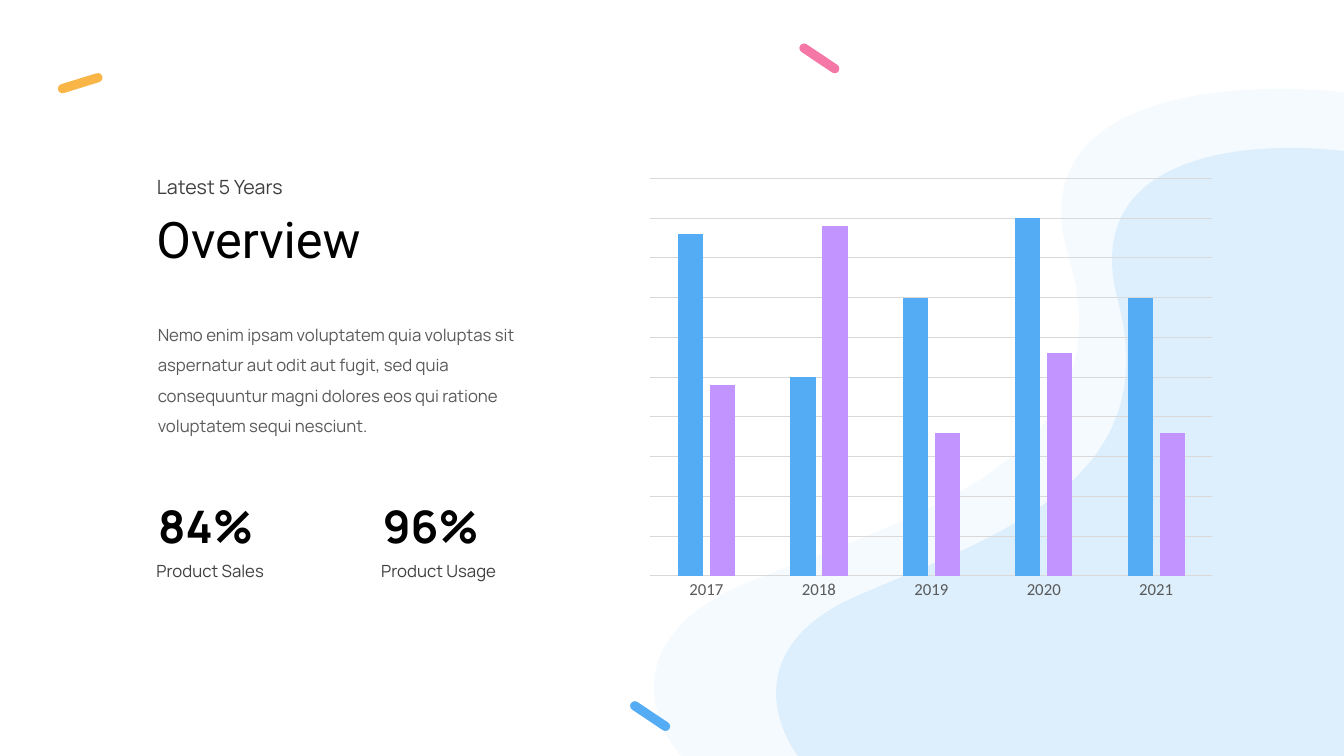
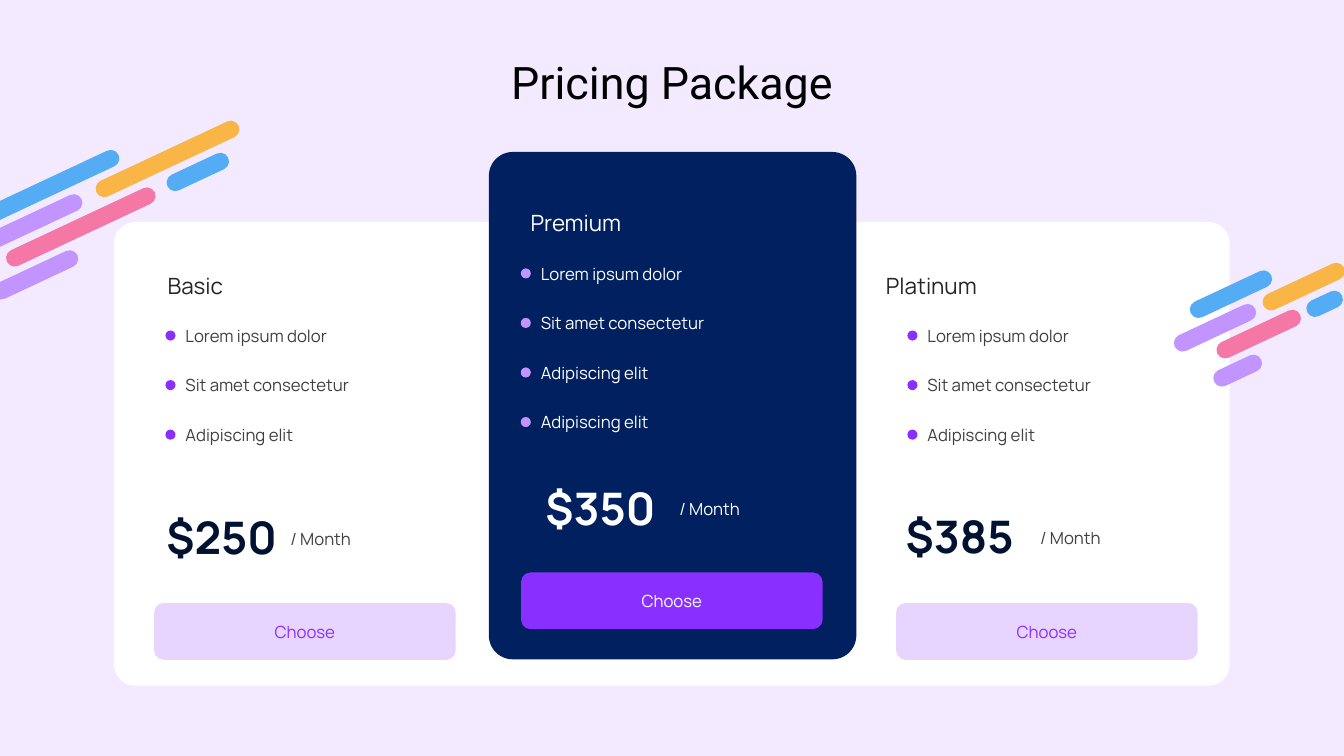
from lxml import etree
from pptx import Presentation
from pptx.chart.data import CategoryChartData as ChartData
from pptx.dml.color import RGBColor as RGB
from pptx.enum.chart import XL_CHART_TYPE as Chart, XL_TICK_MARK as Tick
from pptx.enum.shapes import MSO_SHAPE as Shape
from pptx.enum.text import MSO_ANCHOR as Anchor, MSO_AUTO_SIZE as Fit, PP_ALIGN as Align
from pptx.oxml.ns import qn
from pptx.util import Inches, Pt

# Grid: 160 columns by 90 rows of square cells
COLS, ROWS = 160, 90
CELL = Inches(13.333) / COLS

# Colours
BLACK = RGB(0x00, 0x00, 0x00)
WHITE = RGB(0xFF, 0xFF, 0xFF)
INK = RGB(0x26, 0x26, 0x26)
DARK = RGB(0x40, 0x40, 0x40)
GREY = RGB(0x59, 0x59, 0x59)
RULE = RGB(0xD9, 0xD9, 0xD9)
NAVY = RGB(0x00, 0x20, 0x60)
NIGHT = RGB(0x00, 0x11, 0x32)
VIVID = RGB(0x89, 0x2F, 0xFF)
LILAC = RGB(0xE7, 0xD4, 0xFF)
MIST = RGB(0xF3, 0xEA, 0xFF)
SKY = RGB(0xDD, 0xEF, 0xFD)
BLUE = RGB(0x54, 0xAD, 0xF4)
PURPLE = RGB(0xC2, 0x94, 0xFF)
PINK = RGB(0xF5, 0x77, 0xA5)
AMBER = RGB(0xF9, 0xB5, 0x45)

# Fonts
BODY, HEAD, AXIS = "Manrope", "Roboto", "Calibri"

# Stripe clusters: left, top, length, in the order of the colours
TONES = (BLUE, PURPLE, AMBER, BLUE, PINK, PURPLE)
LEFT = ((-3.8, 21.4, 18.8), (-8.1, 26.65, 18.7), (10.6, 17.9, 18.7),
        (19.55, 19.45, 8), (-0.1, 26, 19.45), (-1.3, 31.7, 11.05))
RIGHT = ((141.25, 34, 10.6), (139.35, 38, 10.6), (149.9, 33.1, 10.6),
         (155.4, 35.15, 4.6), (144.4, 38.75, 10.9), (144.25, 43.1, 6.2))

# Features with their text widths
LOREM = ("Lorem ipsum dolor", 21.2)
SIT = ("Sit amet consectetur", 23.5)
ELIT = ("Adipiscing elit", 16.6)

# Looks: name, text, price, dot, button, button text
LIGHT = (INK, DARK, NIGHT, VIVID, LILAC, VIVID)
DEEP = (WHITE, WHITE, WHITE, PURPLE, VIVID, WHITE)


def cells(*nums):
    return [round(n * CELL) for n in nums]


def paint(item, tone):
    item.shadow.inherit = False
    item.fill.solid()
    item.fill.fore_color.rgb = tone
    item.line.fill.background()
    return item


def write(frame, words, size, tone, font=BODY, bold=False, align=Align.LEFT):
    par = frame.paragraphs[0]
    par.alignment = align
    run = par.add_run()
    run.text = words
    run.font.name = font
    run.font.size = Pt(size)
    run.font.bold = bold
    run.font.color.rgb = tone
    return par


def label(slide, box, words, size, tone, wrap=False, **style):
    frame = slide.shapes.add_textbox(*cells(*box)).text_frame
    frame.word_wrap = wrap
    frame.auto_size = Fit.SHAPE_TO_FIT_TEXT
    return write(frame, words, size, tone, **style)


def title(slide, box, words, size, align=Align.LEFT):
    label(slide, box, words, size, BLACK, font=HEAD, align=align)


def block(shapes, kind, box, tone, curve=None, turn=0):
    item = paint(shapes.add_shape(kind, *cells(*box)), tone)
    if curve is not None:
        item.adjustments[0] = curve
    item.rotation = turn
    return item


def pill(shapes, box, tone, turn):
    block(shapes, Shape.ROUNDED_RECTANGLE, box, tone, 0.5, turn)


def blob(slide, box, tip, foot, crest, back, tone, alpha=None):
    """Wave from tip to foot, round the slide corner, back over the crest."""
    left, top, wide, high = box
    pen = slide.shapes.build_freeform(*cells(left, top), scale=1.0)
    pen.add_line_segments([cells(left + wide, top), cells(left + wide, top + high)])
    item = paint(pen.convert_to_shape(), tone)
    # Curves replace the outline inside the same box
    trace = next(item.element.iter(qn("a:path")))
    for part in list(trace):
        trace.remove(part)
    for kind, dots in (("moveTo", [tip]), ("cubicBezTo", foot),
                       ("lnTo", [(COLS, ROWS)]), ("lnTo", [crest]),
                       ("cubicBezTo", back[:3]), ("cubicBezTo", [*back[3:], tip]),
                       ("close", [])):
        part = etree.SubElement(trace, qn("a:" + kind))
        for x, y in dots:
            spot = etree.SubElement(part, qn("a:pt"))
            for axis, size in zip("xy", cells(x - left, y - top)):
                spot.set(axis, str(size))
    if alpha is not None:
        hue = next(item.element.iter(qn("a:srgbClr")))
        etree.SubElement(hue, qn("a:alpha")).set("val", str(alpha * 1000))


def rule(line):
    line.color.rgb = RULE
    line.width = Pt(0.75)


def bars(slide, box):
    data = ChartData()
    data.categories = ["2017", "2018", "2019", "2020", "2021"]
    data.add_series("Series 1", (4.3, 2.5, 3.5, 4.5, 3.5))
    data.add_series("Series 2", (2.4, 4.4, 1.8, 2.8, 1.8))
    chart = slide.shapes.add_chart(Chart.COLUMN_CLUSTERED, *cells(*box), data).chart
    chart.has_legend = chart.has_title = False
    chart.font.name, chart.font.size = AXIS, Pt(12)
    chart.font.color.rgb = GREY
    plot = chart.plots[0]
    plot.gap_width, plot.overlap, plot.vary_by_categories = 219, -27, False
    for group, tone in zip(plot.series, (BLUE, PURPLE)):
        group.format.fill.solid()
        group.format.fill.fore_color.rgb = tone
    years, scale = chart.category_axis, chart.value_axis
    years.major_tick_mark = years.minor_tick_mark = Tick.NONE
    rule(years.format.line)
    scale.minimum_scale, scale.maximum_scale, scale.major_unit = 0, 5, 0.5
    scale.visible = False
    scale.has_major_gridlines = True
    rule(scale.major_gridlines.format.line)


def stat(slide, left, value, words, width):
    label(slide, (left, 58.8, 14.2, 7.7), value, 32, BLACK, bold=True)
    label(slide, (left - 0.2, 66.17, width, 3.6), words, 12, DARK)


def stripes(slide, places):
    group = slide.shapes.add_group_shape()
    for (left, top, length), tone in zip(places, TONES):
        pill(group.shapes, (left, top, length, 2.05), tone, 334.9)


def plan(slide, name, price, month, list_at, items, button, look, align=Align.CENTER):
    """One offer; name and price are left, top, width and words."""
    ink, text, strong, dot, fill, press = look
    label(slide, (*name[:3], 4.4), name[3], 16, ink, align=align)
    left, top = list_at
    for row, (words, width) in enumerate(items):
        y = top + 5.9 * row
        block(slide.shapes, Shape.OVAL, (left, y + 1.2, 1.2, 1.2), dot)
        label(slide, (left + 1.2, y, width, 3.6), words, 12, text)
    label(slide, (*price[:3], 7.7), price[3], 32, strong, bold=True, align=align)
    label(slide, (month, price[1] + 2.22, 10.3, 3.6), "/ Month", 12, text)
    item = block(slide.shapes, Shape.ROUNDED_RECTANGLE, (*button, 35.9, 6.75), fill)
    item.text_frame.vertical_anchor = Anchor.MIDDLE
    write(item.text_frame, "Choose", 12, press, align=Align.CENTER)


def report(slide):
    # Text
    par = label(slide, (17.6, 36.88, 47.9, 15.5),
                "Nemo enim ipsam voluptatem quia voluptas sit aspernatur aut odit "
                "aut fugit, sed quia consequuntur magni dolores eos qui ratione "
                "voluptatem sequi nesciunt.", 12, GREY, wrap=True)
    par.line_spacing = 1.5
    stat(slide, 17.65, "84%", "Product Sales", 16.2)
    stat(slide, 44.4, "96%", "Product Usage", 17.1)
    title(slide, (17.45, 24.2, 30.4, 8.5), "Overview", 36)
    label(slide, (17.5, 20.2, 18.9, 4.1), "Latest 5 Years", 14, DARK)

    # Waves
    blob(slide, (77.8, 10.6, 82.2, 79.4), (89.4, 69.2),
         ((73.8, 75.4), (77.3, 85.7), (81.1, 90)), (COLS, 11),
         ((146.6, 9.5), (121.4, 11.2), (127.2, 30.5), (134.5, 54.5), (109, 61.4)),
         SKY, 30)
    blob(slide, (92.4, 17.5, 67.6, 72.5), (101.9, 71),
         ((89, 76.7), (92, 86), (95, 90)), (COLS, 18),
         ((149, 16.6), (128.3, 18.1), (133.1, 35.8), (138.9, 57.6), (118, 64)), SKY)

    # Chart and dashes
    bars(slide, (76.02, 20.2, 69.72, 52.25))
    for left, top, turn, tone in ((74.65, 84.7, 33.8, BLUE), (94.8, 6.4, 33.8, PINK),
                                  (6.8, 9.35, 342.9, AMBER)):
        pill(slide.shapes, (left, top, 5.5, 1.1), tone, turn)


def prices(slide):
    # Backdrop
    block(slide.shapes, Shape.RECTANGLE, (0, 0, COLS, ROWS), MIST)
    for box, tone, curve in (((13.55, 26.43, 132.85, 55.2), WHITE, 0.046),
                             ((58.2, 18.1, 43.75, 60.4), NAVY, 0.065)):
        block(slide.shapes, Shape.ROUNDED_RECTANGLE, box, tone, curve)
    title(slide, (58.46, 5.94, 43.1, 7.7), "Pricing Package", 32, Align.CENTER)

    # Offers
    short = (LOREM, SIT, ELIT)
    plan(slide, (18.4, 31.8, 9.7, "Basic"), (18.4, 60.1, 16, "$250"), 33.4,
         (19.7, 38.15), short, (18.35, 71.8), LIGHT)
    plan(slide, (62, 24.28, 14.8, "Premium"), (63.75, 56.6, 16.1, "$350"), 79.7,
         (62, 30.75), (*short, ELIT), (62.03, 68.15), DEEP, Align.LEFT)
    plan(slide, (104.3, 31.8, 14.6, "Platinum"), (106.65, 60, 16.1, "$385"), 122.65,
         (108.03, 38.15), short, (106.68, 71.8), LIGHT, Align.LEFT)

    # Stripes
    for places in (LEFT, RIGHT):
        stripes(slide, places)


def main():
    deck = Presentation()
    deck.slide_width, deck.slide_height = cells(COLS, ROWS)
    blank = deck.slide_layouts[6]
    for build in (report, prices):
        build(deck.slides.add_slide(blank))
    deck.save("out.pptx")


if __name__ == "__main__":
    main()
